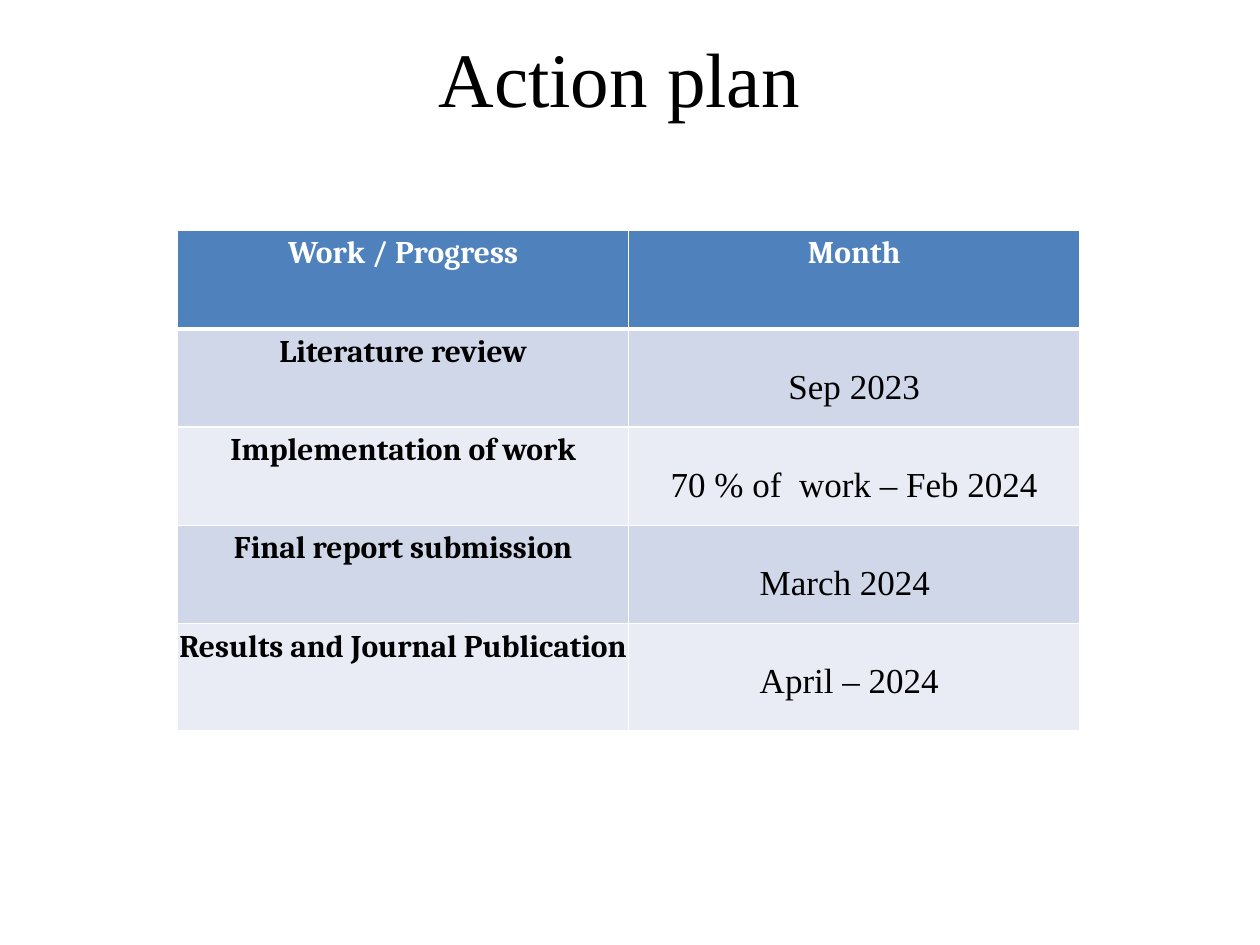
"""Build the action plan slide with its schedule table."""
from dataclasses import dataclass

from lxml.etree import SubElement
from pptx import Presentation
from pptx.dml.color import RGBColor
from pptx.enum.text import PP_ALIGN
from pptx.oxml.ns import qn
from pptx.util import Inches, Pt

WHITE = RGBColor(0xFF, 0xFF, 0xFF)
BLACK = RGBColor(0x00, 0x00, 0x00)
HEADER_BLUE = RGBColor(0x4F, 0x81, 0xBC)
BANDS = (RGBColor(0xD0, 0xD7, 0xE8), RGBColor(0xE9, 0xEC, 0xF4))

SLIDE_WIDTH = Inches(10)
SLIDE_HEIGHT = Inches(7.5)
COLUMN_WIDTH = Inches(3.58)
ROW_HEIGHT = Inches(0.78)
LAST_ROW_HEIGHT = Inches(0.85)
LABEL_TOP = Inches(0.04)
MONTH_TOP = Inches(0.31)
MONTH_INDENT = Inches(1.04)


@dataclass(frozen=True)
class Step:
    """One row of the plan: the work and the month it is due."""
    work: str
    month: str
    centred: bool = True


STEPS = (
    Step("Literature review", "Sep 2023"),
    Step("Implementation of work", "70 % of  work – Feb 2024"),
    Step("Final report submission", "March 2024", centred=False),
    Step("Results and Journal Publication", "April – 2024", centred=False),
)


def write_text(frame, text: str, *, size: float, font: str = "Times New Roman",
               color: RGBColor = BLACK, bold: bool = False,
               align: PP_ALIGN = PP_ALIGN.CENTER, before: float = 0) -> None:
    """Put one formatted paragraph into a text frame."""
    paragraph = frame.paragraphs[0]
    paragraph.alignment = align
    paragraph.space_before = Pt(before)
    run = paragraph.add_run()
    run.text = text
    run.font.size = Pt(size)
    run.font.name = font
    run.font.bold = bold
    run.font.color.rgb = color


def add_border(cell, side: str, width: float) -> None:
    """Draw a white line on one side of a cell."""
    properties = cell._tc.get_or_add_tcPr()
    line = SubElement(properties, qn(f"a:ln{side}"), w=str(Pt(width)))
    fill = SubElement(line, qn("a:solidFill"))
    SubElement(fill, qn("a:srgbClr"), val=str(WHITE))


def style_cell(cell, fill: RGBColor, *, top: int, left: int = 0,
               top_line: float = 1, bottom_line: float = 1) -> None:
    """Set the margins, borders and fill of a cell."""
    cell.margin_left, cell.margin_top = left, top
    cell.margin_right = cell.margin_bottom = 0
    for side, width in (("L", 1), ("R", 1), ("T", top_line), ("B", bottom_line)):
        add_border(cell, side, width)
    cell.fill.solid()
    cell.fill.fore_color.rgb = fill


def add_title(slide, text: str) -> None:
    """Add the slide title."""
    shape = slide.shapes.add_textbox(
        int(SLIDE_WIDTH * 0.348), int(SLIDE_HEIGHT * 0.03),
        int(SLIDE_WIDTH * 0.29), int(SLIDE_HEIGHT * 0.1))
    frame = shape.text_frame
    frame.word_wrap = True
    frame.margin_left = frame.margin_right = frame.margin_bottom = 0
    frame.margin_top = Inches(0.02)
    write_text(frame, text, size=44, align=PP_ALIGN.LEFT, before=1.3)


def add_plan(slide, headings: tuple[str, str], steps: tuple[Step, ...]) -> None:
    """Add the table of steps below a header row."""
    table = slide.shapes.add_table(
        len(steps) + 1, len(headings),
        int(SLIDE_WIDTH * 0.141), int(SLIDE_HEIGHT * 0.244),
        COLUMN_WIDTH * len(headings),
        ROW_HEIGHT * len(steps) + LAST_ROW_HEIGHT).table
    for column in table.columns:
        column.width = COLUMN_WIDTH
    for row in table.rows:
        row.height = ROW_HEIGHT
    table.rows[len(steps)].height = LAST_ROW_HEIGHT

    for index, heading in enumerate(headings):
        cell = table.cell(0, index)
        style_cell(cell, HEADER_BLUE, top=LABEL_TOP, bottom_line=3)
        write_text(cell.text_frame, heading, size=18, font="Cambria",
                   color=WHITE, bold=True, before=3)

    for index, step in enumerate(steps, start=1):
        work, month = table.cell(index, 0), table.cell(index, 1)
        fill = BANDS[(index - 1) % len(BANDS)]
        top_line = 3 if index == 1 else 1
        style_cell(work, fill, top=LABEL_TOP, top_line=top_line)
        write_text(work.text_frame, step.work, size=18, font="Cambria",
                   bold=True, before=3)
        style_cell(month, fill, top=MONTH_TOP, top_line=top_line,
                   left=0 if step.centred else MONTH_INDENT)
        write_text(month.text_frame, step.month, size=20,
                   align=PP_ALIGN.CENTER if step.centred else PP_ALIGN.LEFT)


def main() -> None:
    """Create and save the presentation."""
    presentation = Presentation()
    presentation.slide_width = SLIDE_WIDTH
    presentation.slide_height = SLIDE_HEIGHT
    slide = presentation.slides.add_slide(presentation.slide_layouts[6])
    add_title(slide, "Action plan")
    add_plan(slide, ("Work / Progress", "Month"), STEPS)
    presentation.save("out.pptx")


if __name__ == "__main__":
    main()
